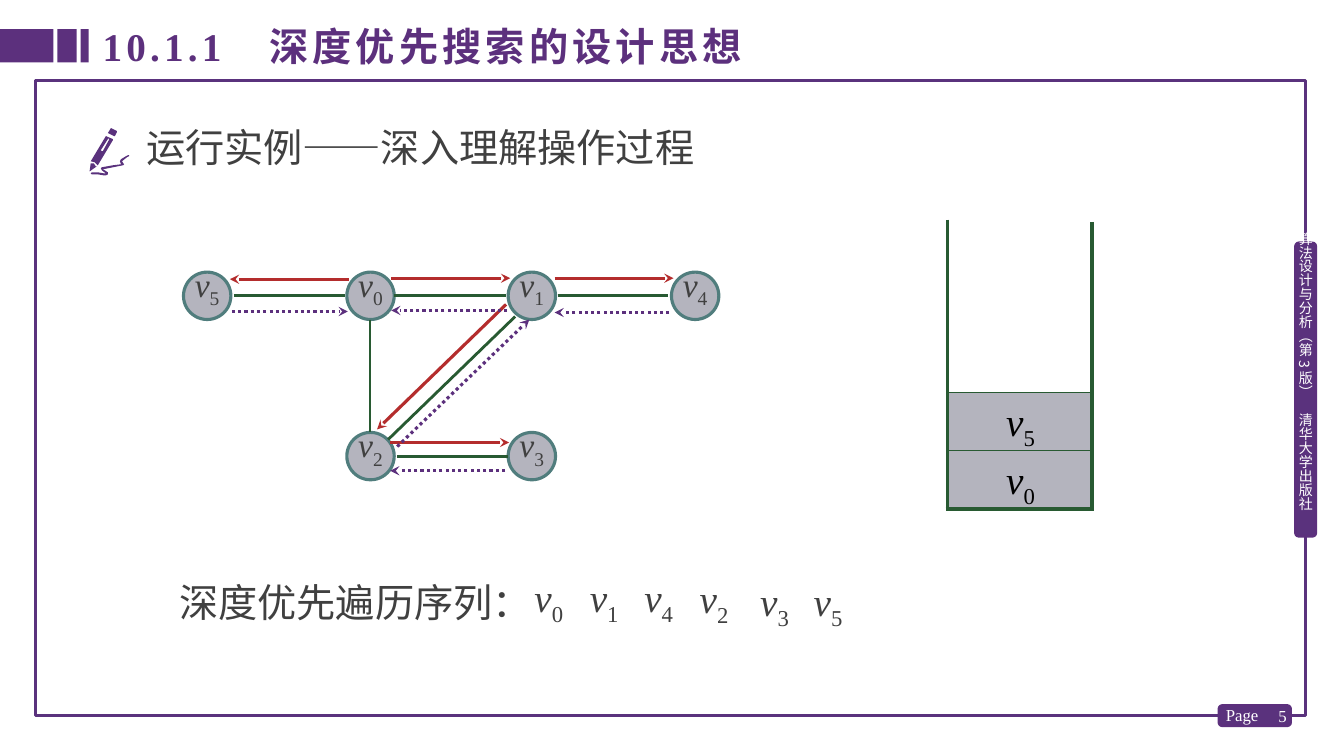
from dataclasses import dataclass

from lxml.etree import SubElement
from pptx import Presentation
from pptx.dml.color import RGBColor
from pptx.enum.dml import MSO_LINE
from pptx.enum.shapes import MSO_CONNECTOR, MSO_SHAPE
from pptx.enum.text import MSO_ANCHOR, PP_ALIGN
from pptx.oxml.ns import qn
from pptx.util import Inches, Pt


@dataclass(frozen=True)
class Theme:
    """Colours, fonts and type sizes of the slide."""

    frame: str = "5A327D"
    accent: str = "5C307D"
    visit: str = "B42D2D"
    edge: str = "285A32"
    vertex_fill: str = "B4B4BE"
    vertex_line: str = "507D7D"
    body: str = "404040"
    black: str = "000000"
    white: str = "FFFFFF"
    latin: str = "Times New Roman"
    chinese: str = "Noto Sans CJK SC"
    large: int = 28
    label: int = 24
    footer: int = 12
    side: int = 10


def apply_format(target, formats):
    """Set each named attribute of the target."""
    for name, value in formats.items():
        setattr(target, name, value)


def vertex_runs(index):
    """Return an italic v followed by its subscript."""
    return [("v", {"italic": True}, 0), (str(index), {"italic": False}, -25000)]


class SlideBuilder:
    """Draws styled elements on the current slide."""

    def __init__(self, slide, theme):
        """Keep the slide and the theme."""
        self.shapes = slide.shapes
        self.theme = theme

    def add_runs(self, shape, runs, size, color, inset=(0.1, 0.05, 0.1, 0.05), frame=None,
                 paragraph=None, latin=None, spacing=0):
        """Fill a shape with one paragraph of formatted runs."""
        text_frame = shape.text_frame
        sides = ("margin_left", "margin_top", "margin_right", "margin_bottom")
        margins = {side: Inches(value) for side, value in zip(sides, inset)}
        apply_format(text_frame, {"word_wrap": True, "vertical_anchor": MSO_ANCHOR.TOP,
                                  **margins, **(frame or {})})
        line = text_frame.paragraphs[0]
        apply_format(line, {"alignment": PP_ALIGN.LEFT, **(paragraph or {})})
        for text, formats, baseline in runs:
            run = line.add_run()
            run.text = text
            apply_format(run.font, {"size": Pt(size), "name": latin or self.theme.latin, **formats})
            run.font.color.rgb = RGBColor.from_string(color)
            properties = run.font._element
            SubElement(properties, qn("a:ea")).set("typeface", self.theme.chinese)
            for name, value in {"baseline": baseline, "spc": spacing}.items():
                if value:
                    properties.set(name, str(value))

    def text(self, box, words, size, color, **options):
        """Add a text box holding a string or a list of runs."""
        label = self.shapes.add_textbox(*map(Inches, box))
        runs = [(words, {}, 0)] if isinstance(words, str) else words
        self.add_runs(label, runs, size, color, **options)
        return label

    def paint(self, shape, fill=None, line=None, width=0):
        """Set the fill and outline of a shape."""
        shape.shadow.inherit = False
        if fill:
            shape.fill.solid()
            shape.fill.fore_color.rgb = RGBColor.from_string(fill)
        else:
            shape.fill.background()
        if line:
            shape.line.color.rgb = RGBColor.from_string(line)
            shape.line.width = Pt(width)
        else:
            shape.line.fill.background()

    def shape(self, preset, box, **paint):
        """Add a painted preset shape."""
        shape = self.shapes.add_shape(preset, *map(Inches, box))
        self.paint(shape, **paint)
        return shape

    def outline(self, contours, fill):
        """Add closed contours given in hundredths of an inch."""
        first, *others = contours
        builder = self.shapes.build_freeform(*first[0], scale=Inches(0.01))
        builder.add_line_segments(first[1:], close=True)
        for contour in others:
            builder.move_to(*contour[0])
            builder.add_line_segments(contour[1:], close=True)
        self.paint(builder.convert_to_shape(), fill=fill)

    def line(self, start, end, color, width=2.25, arrow=False, dotted=False):
        """Add a straight line, optionally dotted or with an arrowhead."""
        line = self.shapes.add_connector(MSO_CONNECTOR.STRAIGHT, *map(Inches, (*start, *end)))
        line.line.color.rgb = RGBColor.from_string(color)
        line.line.width = Pt(width)
        if dotted:
            line.line.dash_style = MSO_LINE.ROUND_DOT
        properties = line._element.spPr
        if arrow:
            SubElement(properties.find(qn("a:ln")), qn("a:tailEnd")).set("type", "stealth")
        SubElement(properties, qn("a:effectLst"))

    def vertex(self, index, left, top):
        """Add a labelled graph vertex."""
        circle = self.shape(MSO_SHAPE.OVAL, (left, top, 0.47, 0.47), fill=self.theme.vertex_fill,
                            line=self.theme.vertex_line, width=2.25)
        self.add_runs(circle, vertex_runs(index), self.theme.label, self.theme.body, inset=(0, 0, 0, 0),
                      paragraph={"alignment": PP_ALIGN.CENTER, "line_spacing": Pt(22)})

    def stack_cell(self, index, top):
        """Add a stack entry."""
        cell = self.shape(MSO_SHAPE.RECTANGLE, (9.4, top, 1.43, 0.58), fill=self.theme.vertex_fill,
                          line=self.theme.edge, width=0.75)
        self.add_runs(cell, vertex_runs(index), self.theme.large, self.theme.black,
                      inset=(0.58, 0.05, 0.1, 0.05))


PEN = [
    [[(113, 135), (114, 135), (116, 131), (116, 130), (110, 127), (107, 132)]],
    [[(95, 165), (93, 162), (90, 162), (89, 169), (89, 170), (96, 165)]],
    [[(97, 164), (112, 139), (112, 138), (105, 135), (90, 160), (94, 161)],
     [(100, 149), (107, 138), (108, 137), (108, 139), (102, 150), (101, 150)]],
    [[(128, 154), (127, 154), (125, 155), (120, 158), (119, 160), (120, 163), (112, 164), (101, 166),
      (100, 167), (101, 169), (105, 172), (103, 172), (97, 171), (91, 171), (90, 172), (91, 173),
      (97, 173), (103, 174), (105, 174), (107, 173), (107, 171), (104, 169), (102, 168), (112, 166),
      (122, 164), (123, 163), (121, 160), (126, 156), (128, 155)]],
]
VERTICES = {5: (1.82, 2.7), 0: (3.44, 2.7), 1: (5.04, 2.7), 4: (6.66, 2.7), 2: (3.44, 4.29), 3: (5.04, 4.29)}
EDGES = [((2.32, 2.93), (3.42, 2.93)), ((3.91, 2.93), (5.02, 2.93)), ((5.53, 2.93), (6.63, 2.93)),
         ((3.94, 4.53), (5.04, 4.53)), ((3.67, 3.17), (3.67, 4.29)), ((5.11, 3.14), (3.85, 4.36))]
VISITS = [((3.88, 2.76), (5.06, 2.76)), ((5.5, 2.76), (6.68, 2.76)), ((5.02, 3.02), (3.74, 4.26)),
          ((3.87, 4.39), (5.05, 4.39)), ((3.46, 2.77), (2.28, 2.77))]
BACKTRACKS = [((6.64, 3.1), (5.5, 3.1)), ((5.01, 4.67), (3.87, 4.67)), ((3.94, 4.43), (5.25, 3.17)),
              ((5.03, 3.08), (3.88, 3.08)), ((2.3, 3.09), (3.45, 3.09))]
STACK_WALLS = [((9.4, 2.18), (9.4, 5.05)), ((10.83, 2.2), (10.83, 5.07)), ((9.38, 5.05), (10.83, 5.05))]
SEQUENCE = [(0, 5.28, 5.68), (1, 5.83, 5.68), (4, 6.37, 5.68), (2, 6.92, 5.69), (3, 7.52, 5.72), (5, 8.05, 5.72)]


def draw_frame(page, theme):
    """Draw the border, page number, side title and heading bars."""
    page.shape(MSO_SHAPE.RECTANGLE, (0.35, 0.8, 12.6, 6.3), line=theme.frame, width=2.25)
    for badge in ((12.09, 7, 0.71, 0.2), (12.85, 2.41, 0.2, 2.91)):
        page.shape(MSO_SHAPE.ROUNDED_RECTANGLE, badge, fill=theme.frame, line=theme.accent, width=2)
    page.text((12.45, 6.9, 0.41, 0.4), "5", theme.footer, theme.white,
              frame={"vertical_anchor": MSO_ANCHOR.MIDDLE}, paragraph={"alignment": PP_ALIGN.RIGHT})
    page.text((12.06, 6.94, 0.53, 0.31), "Page", theme.footer, theme.white, frame={"word_wrap": False})
    for left, width in ((0, 0.53), (0.57, 0.19), (0.8, 0.08)):
        page.shape(MSO_SHAPE.RECTANGLE, (left, 0.29, width, 0.33), fill=theme.accent)
    book = page.text((12.86, 2.3, 0.17, 3.14), "算法设计与分析（第 3 版）　清华大学出版社", theme.side,
                     theme.white, inset=(0, 0, 0, 0), latin=theme.chinese,
                     paragraph={"alignment": PP_ALIGN.CENTER})
    book.text_frame._txBody.bodyPr.set("vert", "eaVert")


def draw_search(page, theme):
    """Draw the graph, the search moves, the stack and the visit sequence."""
    for index, place in VERTICES.items():
        page.vertex(index, *place)
    for start, end in EDGES:
        page.line(start, end, theme.edge, width=2)
    for index, top in ((0, 4.47), (5, 3.89)):
        page.stack_cell(index, top)
    for start, end in STACK_WALLS:
        page.line(start, end, theme.edge)
    for start, end in VISITS:
        page.line(start, end, theme.visit, arrow=True)
    for start, end in BACKTRACKS:
        page.line(start, end, theme.accent, arrow=True, dotted=True)
    page.text((1.68, 5.69, 4.04, 0.57), "深度优先遍历序列：", theme.large, theme.body)
    for index, left, top in SEQUENCE:
        page.text((left, top, 0.62, 0.5), vertex_runs(index), theme.large, theme.body,
                  inset=(0.02, 0.01, 0.02, 0.01))


def main():
    """Build and save the slide."""
    deck = Presentation()
    apply_format(deck, {"slide_width": Inches(13.33), "slide_height": Inches(7.5)})
    theme = Theme()
    page = SlideBuilder(deck.slides.add_slide(deck.slide_layouts[6]), theme)
    draw_frame(page, theme)
    page.text((0.92, 0.17, 8.65, 0.57), [("10.1.1　深度优先搜索的设计思想", {"bold": True}, 0)],
              theme.large, theme.accent, spacing=300)
    page.text((1.35, 1.17, 9.32, 0.57), "运行实例——深入理解操作过程", theme.large, theme.body)
    for contours in PEN:
        page.outline(contours, theme.frame)
    draw_search(page, theme)
    deck.save("out.pptx")


if __name__ == "__main__":
    main()
